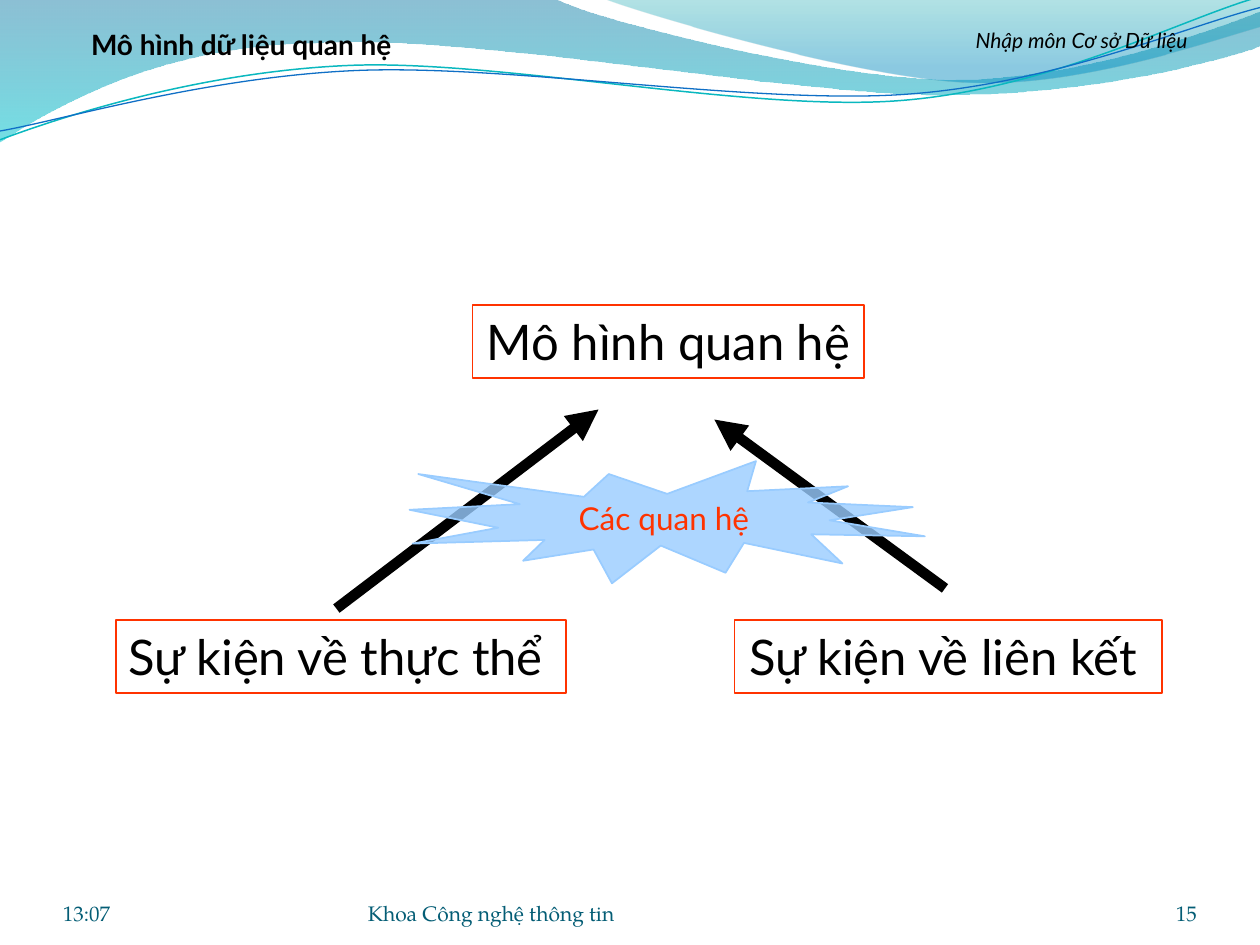
from dataclasses import dataclass

from lxml.etree import SubElement
from pptx import Presentation
from pptx.dml.color import RGBColor
from pptx.enum.shapes import MSO_CONNECTOR as Connector, MSO_SHAPE as Shape
from pptx.enum.text import MSO_ANCHOR as Anchor, MSO_AUTO_SIZE as AutoSize, PP_ALIGN as Align
from pptx.oxml.ns import qn
from pptx.util import Inches, Pt


@dataclass(frozen=True)
class Theme:
    sans: str = "Lato"
    serif: str = "TeX Gyre Pagella"
    ink: str = "000000"
    accent: str = "FF3300"
    seal: str = "99CCFF"
    footer: str = "045D75"
    teal_line: str = "0AB8BF"
    blue_line: str = "0F6FC6"
    wide_wave: tuple = ((0, "0074A1", 45), (1, "00C6CF", 55))
    right_wave: tuple = ((0, "00A1A9", 30), (0.8, "008BBF", 45))
    box_size: int = 28
    seal_size: int = 18
    title_size: int = 16
    small_size: int = 12


THEME = Theme()

WIDE_WAVE = [
    [(0, -0.01)],
    [(4.4, -0.01)],
    [(4.76, 0.17), (6.64, 0.63), (7.58, 0.63)],
    [(8.53, 0.63), (9.58, 0.26), (10, 0.09)],
    [(10.01, 0.36)],
    [(9.83, 0.44), (8.7, 0.76), (7.46, 0.75)],
    [(6.22, 0.75), (3.82, 0.28), (2.57, 0.34)],
    [(1.29, 0.35), (0.46, 0.83), (-0.01, 1.13)],
    [(0, -0.01)],
]
RIGHT_WAVE = [
    [(4.79, -0.01)],
    [(5.09, 0.11), (6.82, 0.62), (7.69, 0.65)],
    [(8.56, 0.69), (9.61, 0.32), (10, 0.21)],
    [(10, 0)],
    [(4.79, -0.01)],
]
TEAL_CURVE = [
    [(0, 1.11)],
    [(0.48, 0.93), (1.58, 0.57), (2.77, 0.52)],
    [(3.95, 0.47), (5.93, 0.89), (7.13, 0.8)],
    [(8.33, 0.71), (9.38, 0.15), (9.98, -0.02)],
]
BLUE_CURVE = [
    [(0, 1.04)],
    [(0.47, 0.96), (1.64, 0.61), (2.83, 0.56)],
    [(4.03, 0.51), (5.97, 0.83), (7.17, 0.75)],
    [(8.36, 0.67), (9.41, 0.21), (10, 0.06)],
]


def rgb(value):
    return RGBColor.from_string(value)


def set_alpha(color_parent, percent):
    color = color_parent.find(".//" + qn("a:srgbClr"))
    SubElement(color, qn("a:alpha")).set("val", str(percent * 1000))


def set_line(shape, color, width):
    shape.line.color.rgb = rgb(color)
    shape.line.width = Pt(width)


def trace(slide, segments, closed):
    anchors = [(Inches(x), Inches(y)) for x, y in (segment[-1] for segment in segments)]
    builder = slide.shapes.build_freeform(*anchors[0])
    builder.add_line_segments(anchors[1:], close=closed)
    shape = builder.convert_to_shape()
    shape.shadow.inherit = False
    steps = list(shape.element.iter(qn("a:lnTo")))
    for step, controls in zip(steps, segments[1:]):
        if len(controls) == 3:
            step.tag = qn("a:cubicBezTo")
            step.remove(step[0])
            for x, y in controls:
                point = SubElement(step, qn("a:pt"))
                point.set("x", str(Inches(x) - shape.left))
                point.set("y", str(Inches(y) - shape.top))
    return shape


def write(shape, text, size, color, font=THEME.sans, align=Align.CENTER, anchor=Anchor.TOP,
          bold=False, italic=False, wrap=True):
    frame = shape.text_frame
    frame.word_wrap = wrap
    frame.auto_size = AutoSize.NONE
    frame.vertical_anchor = anchor
    frame.text = text
    paragraph = frame.paragraphs[0]
    paragraph.alignment = align
    paragraph.space_before = Pt(0)
    paragraph.font.name = font
    paragraph.font.size = Pt(size)
    paragraph.font.bold = bold
    paragraph.font.italic = italic
    paragraph.font.color.rgb = rgb(color)
    return frame


def add_waves(slide):
    for outline, stops in ((WIDE_WAVE, THEME.wide_wave), (RIGHT_WAVE, THEME.right_wave)):
        wave = trace(slide, outline, True)
        wave.line.fill.background()
        wave.fill.gradient()
        wave.fill.gradient_angle = 270
        stop_elements = wave.element.iter(qn("a:gs"))
        for stop, element, (position, color, alpha) in zip(
                wave.fill.gradient_stops, stop_elements, stops):
            stop.position = position
            stop.color.rgb = rgb(color)
            set_alpha(element, alpha)
    for outline, color, width in ((TEAL_CURVE, THEME.teal_line, 0.85),
                                  (BLUE_CURVE, THEME.blue_line, 0.75)):
        curve = trace(slide, outline, False)
        curve.fill.background()
        set_line(curve, color, width)


def add_header(slide, title_box, course_box):
    title = slide.shapes.title
    title.element.getparent().append(title.element)
    title.left, title.top, title.width, title.height = title_box
    write(title, "Mô hình dữ liệu quan hệ", THEME.title_size, THEME.ink, bold=True)
    course = slide.shapes.add_textbox(*course_box)
    write(course, "Nhập môn Cơ sở Dữ liệu", THEME.small_size, THEME.ink, italic=True)


def add_footer(slide, top, height):
    for text, left, width, align in (
        ("13:07", 0.5, 2.33, Align.LEFT),
        ("Khoa Công nghệ thông tin", 2.92, 3.67, Align.LEFT),
        ("15", 8.67, 0.83, Align.RIGHT),
    ):
        item = slide.shapes.add_textbox(Inches(left), top, Inches(width), height)
        frame = write(item, text, THEME.small_size, THEME.footer, THEME.serif, align, Anchor.BOTTOM)
        frame.margin_left = frame.margin_right = frame.margin_top = frame.margin_bottom = 0


def add_concept(slide, text, box, right_inset):
    concept = slide.shapes.add_shape(Shape.RECTANGLE, *box)
    concept.shadow.inherit = False
    concept.fill.background()
    set_line(concept, THEME.accent, 1)
    frame = write(concept, text, THEME.box_size, THEME.ink, wrap=False)
    frame.margin_right = right_inset


def add_arrow(slide, start, end):
    arrow = slide.shapes.add_connector(Connector.STRAIGHT, *map(Inches, start + end))
    set_line(arrow, THEME.ink, 6)
    line = arrow.element.spPr.find(qn("a:ln"))
    SubElement(line, qn("a:tailEnd")).set("type", "triangle")
    SubElement(arrow.element.spPr, qn("a:effectLst"))


def add_relations(slide, box):
    seal = slide.shapes.add_shape(Shape.EXPLOSION1, *box)
    seal.shadow.inherit = False
    seal.fill.solid()
    seal.fill.fore_color.rgb = rgb(THEME.seal)
    set_alpha(seal.element.spPr, 80)
    set_line(seal, THEME.seal, 1)
    write(seal, "Các quan hệ", THEME.seal_size, THEME.accent, anchor=Anchor.MIDDLE)


def add_diagram(slide):
    for text, left, top, width, right_inset in (
        ("Mô hình quan hệ", 3.75, 2.42, 3.11, 0.1),
        ("Sự kiện về thực thể", 0.92, 4.92, 3.57, 0.18),
        ("Sự kiện về liên kết", 5.83, 4.92, 3.39, 0.18),
    ):
        box = tuple(map(Inches, (left, top, width, 0.58)))
        add_concept(slide, text, box, Inches(right_inset))
    add_arrow(slide, (2.67, 4.83), (4.75, 3.25))
    add_arrow(slide, (7.5, 4.67), (5.67, 3.33))
    add_relations(slide, tuple(map(Inches, (3.25, 3.66, 4.09, 0.97))))


def main():
    deck = Presentation()
    deck.slide_width, deck.slide_height = Inches(10), Inches(7.5)
    slide = deck.slides.add_slide(deck.slide_layouts[5])
    add_waves(slide)
    add_diagram(slide)
    add_footer(slide, Inches(6.95), Inches(0.4))
    add_header(slide, tuple(map(Inches, (0.25, 0.17, 3.33, 0.37))),
               tuple(map(Inches, (7.17, 0.17, 2.83, 0.38))))
    deck.save("out.pptx")


if __name__ == "__main__":
    main()
